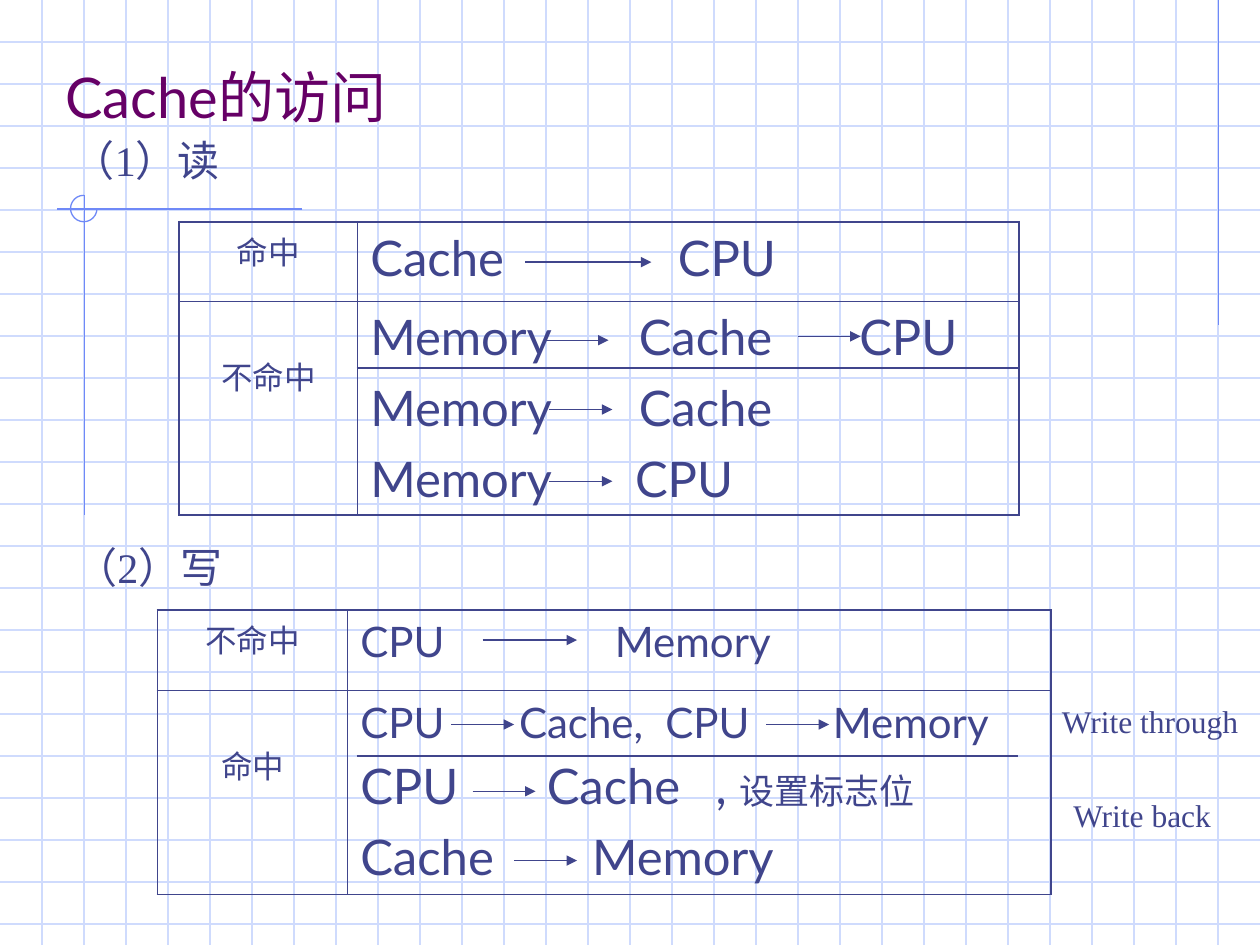
from lxml import etree
from pptx import Presentation, util as u
from pptx.dml.color import RGBColor
from pptx.enum import shapes, text
from pptx.oxml import ns

# Content
INK, PLUM, GRID, ACCENT = "40458C", "660066", "CFDBFD", "6F89F7"
SANS, SERIF = "Lato", "Times New Roman"
WIDTH, HEIGHT = 10, 7.5
GRID_STEP = 1 / 3
OUTER, INNER = 1.08, 0.45   # table border widths
TITLE = "Cache的访问"

# Text, size, left, top, width
CAPTIONS = [
    ("（1）读", 24, 0.48, 1.02, 7.02),
    ("（2）写", 24, 0.5, 4.25, 7.02),
    ("Write through", 18, 8.33, 5.52, 1.65),
    ("Write back", 18, 8.42, 6.27, 1.55),
]

# Each row: label, top margin of label, lines; each line: runs, tab stops, space before
READ = {
    "at": (1.42, 1.76), "cols": (1.42, 5.25), "rows": (0.63, 1.7),
    "content": [
        ("命中", 0.05, [([("Cache\tCPU", 28)], [2.44], 0)]),
        ("不命中", 0.41, [
            ([("Memory\tCache\tCPU", 28)], [2.13, 3.88], 0),
            ([("Memory\tCache", 28)], [2.13], 7),
            ([("Memory\tCPU", 28)], [2.1], 7),
        ]),
    ],
}
WRITE = {
    "at": (1.25, 4.84), "cols": (1.51, 5.58), "rows": (0.64, 1.62),
    "content": [
        ("不命中", 0.05, [([("CPU\tMemory", 24)], [2.02], 0)]),
        ("命中", 0.41, [
            ([("CPU\tCache,\tCPU\tMemory", 24)], [1.26, 2.42, 3.75], 0),
            ([("CPU\tCache\t, ", 28), ("设置标志位", 20)], [1.48, 2.82], 5),
            ([("Cache\tMemory", 28)], [1.84], 7),
        ]),
    ],
}

# Left, top, length
ARROWS = [
    (4.17, 2.08, 1), (4.33, 2.7, 0.5), (6.33, 2.67, 0.5), (4.36, 3.25, 0.5),
    (4.36, 3.82, 0.5), (3.83, 5.08, 0.75), (3.58, 5.75, 0.5), (6.08, 5.75, 0.5),
    (3.75, 6.28, 0.5), (4.08, 6.83, 0.5),
]
DIVIDER_TOPS = [2.92, 6]
ACCENT_LINES = [(9.67, 0, 9.67, 2.58), (2.4, 1.66, 0.45, 1.66), (0.67, 1.55, 0.67, 4.09)]


def rgb(color):
    return RGBColor.from_string(color)


def child(parent, tag, **attributes):
    return etree.SubElement(parent, ns.qn(tag), attributes)


def add_line(x1, y1, x2, y2, color=INK, arrow=False):
    line = slide.shapes.add_connector(
        shapes.MSO_CONNECTOR.STRAIGHT, *map(u.Inches, (x1, y1, x2, y2)))
    line.line.color.rgb = rgb(color)
    line.line.width = u.Pt(0.75)
    if arrow:
        child(line.line._get_or_add_ln(), "a:tailEnd", type="triangle")
    child(line.element.spPr, "a:effectLst")


def add_run(paragraph, words, size, font, color=INK):
    run = paragraph.add_run()
    run.text = words
    run.font.size = u.Pt(size)
    run.font.name = font
    run.font.color.rgb = rgb(color)


def fill_line(paragraph, runs, stops, before):
    tabs = child(paragraph._p.get_or_add_pPr(), "a:tabLst")
    for stop in stops:
        child(tabs, "a:tab", pos=str(u.Inches(stop)), algn="l")
    paragraph.space_before = u.Pt(before)
    for words, size in runs:
        add_run(paragraph, words, size, SANS)


def set_borders(cell, row, col):
    edges = {"L": col == 0, "R": col == 1, "T": row == 0, "B": row == 1}
    for side, outside in edges.items():
        border = child(cell._tc.get_or_add_tcPr(), f"a:ln{side}",
                       w=str(u.Pt(OUTER if outside else INNER)))
        child(child(border, "a:solidFill"), "a:srgbClr", val=INK)
    cell.fill.background()


def add_access_table(at, cols, rows, content):
    size = sum(cols), sum(rows)
    table = slide.shapes.add_table(2, 2, *map(u.Inches, at + size)).table
    table.first_row = table.horz_banding = False
    for column, width in zip(table.columns, cols):
        column.width = u.Inches(width)
    for r, (label, label_top, lines) in enumerate(content):
        table.rows[r].height = u.Inches(rows[r])
        case, flow = table.cell(r, 0), table.cell(r, 1)
        set_borders(case, r, 0)
        set_borders(flow, r, 1)
        case.margin_top = u.Inches(label_top)
        heading = case.text_frame.paragraphs[0]
        heading.alignment = text.PP_ALIGN.CENTER
        add_run(heading, label, 18, SANS)
        for i, line in enumerate(lines):
            frame = flow.text_frame
            fill_line(frame.add_paragraph() if i else frame.paragraphs[0], *line)


prs = Presentation()
prs.slide_width, prs.slide_height = u.Inches(WIDTH), u.Inches(HEIGHT)
slide = prs.slides.add_slide(prs.slide_layouts[5])

# Squared paper
for n in range(1, 23):
    add_line(0, n * GRID_STEP, WIDTH, n * GRID_STEP, GRID)
for n in range(1, 30):
    add_line(n * GRID_STEP, 0, n * GRID_STEP, HEIGHT, GRID)

# Accent lines with three-quarter circle
for ends in ACCENT_LINES:
    add_line(*ends, ACCENT)
ring = slide.shapes.add_shape(
    shapes.MSO_SHAPE.ARC, *map(u.Inches, (0.56, 1.55, 0.21, 0.21)))
ring.adjustments[0], ring.adjustments[1] = 0, 162
ring.fill.background()
ring.line.color.rgb = rgb(ACCENT)
ring.line.width = u.Pt(0.75)
ring.shadow.inherit = False

# Title, in front of the squared paper
title = slide.shapes.title
title.element.getparent().append(title.element)
title.left, title.top, title.width, title.height = map(u.Inches, (0.42, 0.25, 8.5, 0.83))
title.text_frame.auto_size = text.MSO_AUTO_SIZE.NONE
title.text_frame.vertical_anchor = text.MSO_ANCHOR.BOTTOM
title_line = title.text_frame.paragraphs[0]
title_line.alignment = text.PP_ALIGN.LEFT
add_run(title_line, TITLE, 32, SANS, PLUM)

# Section captions and write policies
for words, size, left, top, width in CAPTIONS:
    caption = slide.shapes.add_textbox(*map(u.Inches, (left, top, width, size / 48)))
    caption.text_frame.word_wrap = True
    add_run(caption.text_frame.paragraphs[0], words, size, SERIF)

# Tables, dividers and data-flow arrows
for access in (READ, WRITE):
    add_access_table(**access)
for top in DIVIDER_TOPS:
    add_line(2.83, top, 8.08, top)
for left, top, length in ARROWS:
    add_line(left, top, left + length, top, arrow=True)

prs.save("out.pptx")
